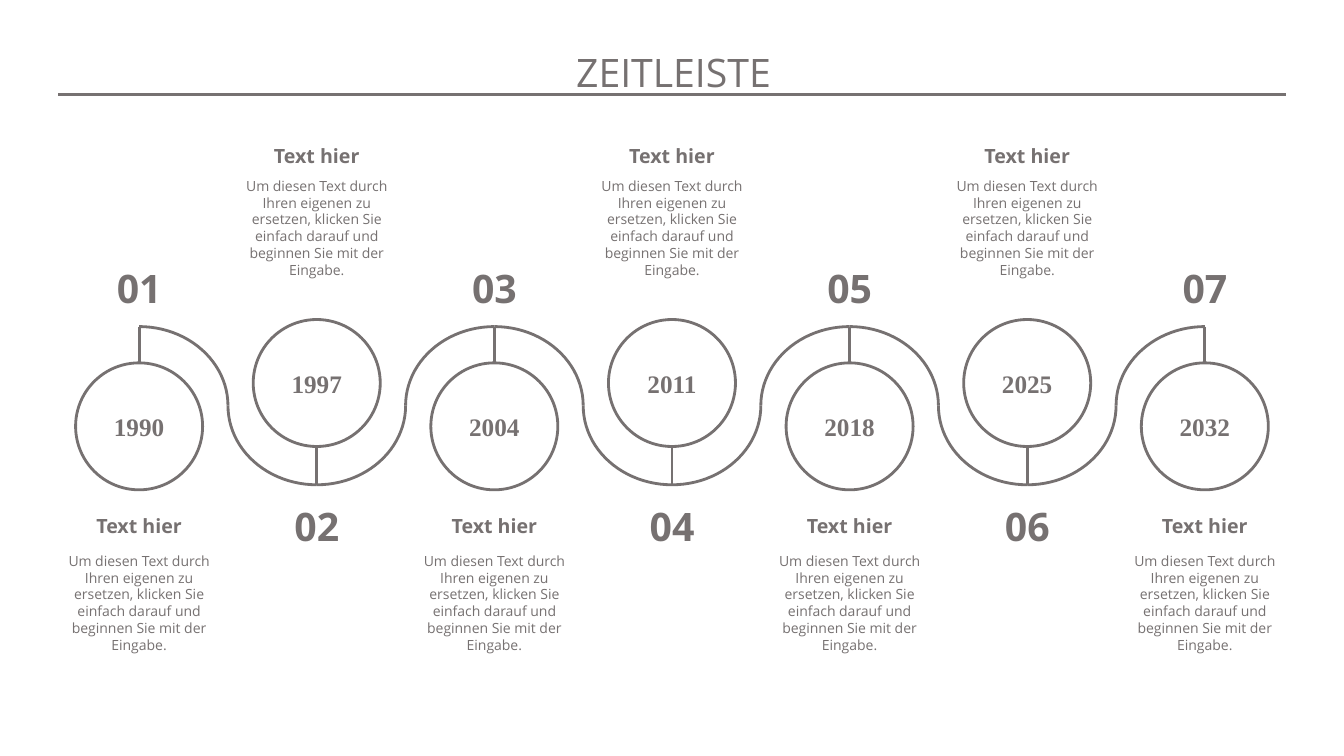
"""Build a timeline slide with seven stations along a winding line."""
import dataclasses

import pptx
import pptx.dml.color
import pptx.enum.shapes
import pptx.enum.text
import pptx.oxml.ns
import pptx.util


@dataclasses.dataclass(frozen=True)
class Theme:
    """Colours, fonts and sizes of the slide."""
    ink: str = "767171"
    paper: str = "FFFFFF"
    font: str = "Open Sans"
    year_font: str = "Times New Roman"
    display_size: int = 28
    year_size: int = 18
    heading_size: int = 14
    body_size: int = 10
    line_width: float = 2


class TimelineSlide:
    """Draws timeline elements on one slide in one style."""

    def __init__(self, slide, theme):
        """Keep the slide and its theme."""
        self.slide = slide
        self.theme = theme
        self.ink = pptx.dml.color.RGBColor.from_string(theme.ink)
        self.paper = pptx.dml.color.RGBColor.from_string(theme.paper)

    def set_text(self, frame, wording, size, bold=False, font=None):
        """Fill a text frame with centred, formatted text."""
        frame.text = wording
        frame.word_wrap = True
        paragraph = frame.paragraphs[0]
        paragraph.alignment = pptx.enum.text.PP_ALIGN.CENTER
        for run in paragraph.runs:
            run.font.name = font or self.theme.font
            run.font.size = pptx.util.Pt(size)
            run.font.bold = bold
            run.font.color.rgb = self.ink

    def outline(self, line):
        """Apply the common line style."""
        line.color.rgb = self.ink
        line.width = pptx.util.Pt(self.theme.line_width)

    def title(self, wording):
        """Place the slide title."""
        title = self.slide.shapes.title
        title.left, title.top = pptx.util.Inches(0), pptx.util.Inches(0.43)
        title.width, title.height = pptx.util.Inches(13.36), pptx.util.Inches(0.57)
        self.set_text(title.text_frame, wording, self.theme.display_size)
        title.text_frame.vertical_anchor = pptx.enum.text.MSO_ANCHOR.TOP
        title.text_frame.auto_size = pptx.enum.text.MSO_AUTO_SIZE.NONE

    def label(self, center, top, width, height, wording, size, bold=False):
        """Add a text box centred on a station."""
        box = self.slide.shapes.add_textbox(
            pptx.util.Inches(center - width / 2), pptx.util.Inches(top),
            pptx.util.Inches(width), pptx.util.Inches(height))
        self.set_text(box.text_frame, wording, size, bold)

    def line(self, x1, y1, x2, y2):
        """Add a straight line without shadow."""
        line = self.slide.shapes.add_connector(
            pptx.enum.shapes.MSO_CONNECTOR.STRAIGHT,
            pptx.util.Inches(x1), pptx.util.Inches(y1),
            pptx.util.Inches(x2), pptx.util.Inches(y2))
        self.outline(line.line)
        properties = line.element.spPr
        properties.append(properties.makeelement(pptx.oxml.ns.qn("a:effectLst"), {}))

    def preset(self, kind, center, top, width, height):
        """Add an outlined preset shape centred on a station."""
        shape = self.slide.shapes.add_shape(
            kind, pptx.util.Inches(center - width / 2), pptx.util.Inches(top),
            pptx.util.Inches(width), pptx.util.Inches(height))
        shape.shadow.inherit = False
        self.outline(shape.line)
        return shape

    def arc(self, center, width, flips):
        """Add a quarter of the winding line, mirrored as the flips say."""
        arc = self.preset(pptx.enum.shapes.MSO_SHAPE.ARC, center, 3.24, width, 1.57)
        arc.fill.background()
        for flip in flips:
            arc.element.spPr.find(pptx.oxml.ns.qn("a:xfrm")).set(flip, "1")

    def year(self, center, top, wording):
        """Add a circle that holds a year."""
        circle = self.preset(pptx.enum.shapes.MSO_SHAPE.OVAL, center, top, 1.26, 1.26)
        circle.fill.solid()
        circle.fill.fore_color.rgb = self.paper
        frame = circle.text_frame
        frame.margin_left = frame.margin_right = pptx.util.Inches(0)
        frame.vertical_anchor = pptx.enum.text.MSO_ANCHOR.MIDDLE
        self.set_text(frame, wording, self.theme.year_size, True, self.theme.year_font)


@dataclasses.dataclass(frozen=True)
class Row:
    """Vertical positions of a station whose arch is up or down."""
    flips: tuple
    stem: tuple
    circle: float
    number: float
    heading: float
    body: float


ARCH_UP = Row((), (3.24, 3.6), 3.6, 2.57, 5.05, 5.43)
ARCH_DOWN = Row(("flipV",), (4.42, 4.8), 3.17, 4.93, 1.38, 1.71)
YEARS = ("1990", "1997", "2004", "2011", "2018", "2025", "2032")
HEADING = "Text hier"
BODY = ("Um diesen Text durch Ihren eigenen zu ersetzen, klicken Sie einfach "
        "darauf und beginnen Sie mit der Eingabe.")
FIRST_CENTER, LAST_CENTER = 1.38, 11.95


def main():
    """Build and save the timeline."""
    deck = pptx.Presentation()
    deck.slide_width, deck.slide_height = pptx.util.Inches(13.33), pptx.util.Inches(7.5)
    theme = Theme()
    timeline = TimelineSlide(deck.slides.add_slide(deck.slide_layouts[5]), theme)
    timeline.title("ZEITLEISTE")
    timeline.line(0.58, 0.94, 12.75, 0.94)

    last = len(YEARS) - 1
    pitch = (LAST_CENTER - FIRST_CENTER) / last
    for station, year in enumerate(YEARS):
        center = FIRST_CENTER + station * pitch
        row = ARCH_DOWN if station % 2 else ARCH_UP
        if station > 0:
            timeline.arc(center, pitch, row.flips + ("flipH",))
        if station < last:
            timeline.arc(center, pitch, row.flips)
        timeline.line(center, row.stem[0], center, row.stem[1])
        timeline.year(center, row.circle, year)
        timeline.label(center, row.number, 1.05, 0.57, f"{station + 1:02}",
                       theme.display_size, True)
        timeline.label(center, row.heading, 1.67, 0.33, HEADING,
                       theme.heading_size, True)
        timeline.label(center, row.body, 1.67, 1.1, BODY, theme.body_size)

    deck.save("out.pptx")


if __name__ == "__main__":
    main()
